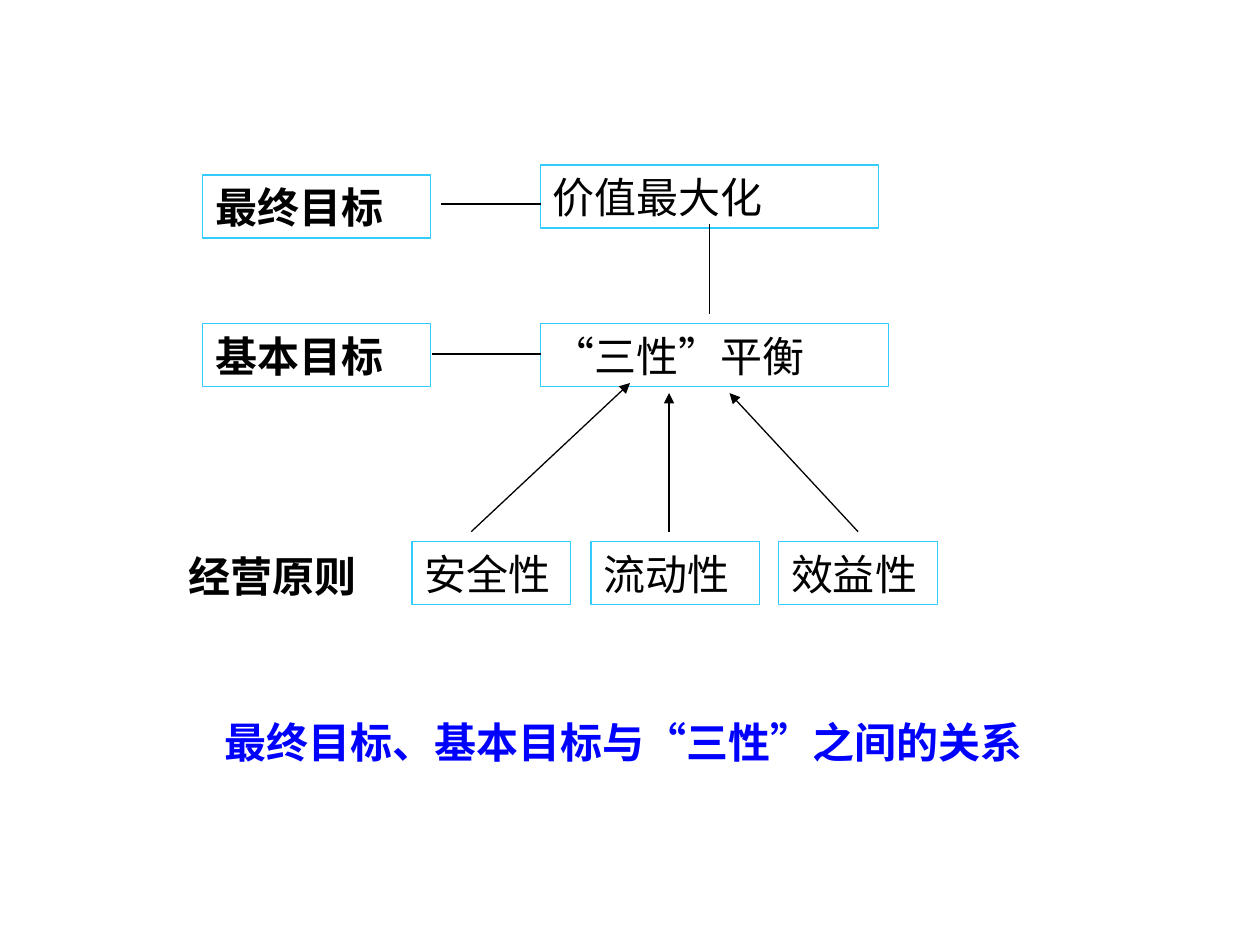
from typing import NamedTuple

from lxml import etree
from pptx import Presentation
from pptx.dml.color import RGBColor
from pptx.enum.lang import MSO_LANGUAGE_ID
from pptx.enum.shapes import MSO_CONNECTOR, MSO_SHAPE
from pptx.enum.text import MSO_ANCHOR, PP_ALIGN
from pptx.oxml.ns import qn
from pptx.util import Inches, Pt

RECTANGLE = MSO_SHAPE.RECTANGLE
STRAIGHT = MSO_CONNECTOR.STRAIGHT
MIDDLE = MSO_ANCHOR.MIDDLE
LEFT, CENTER = PP_ALIGN.LEFT, PP_ALIGN.CENTER
CHINESE = MSO_LANGUAGE_ID.SIMPLIFIED_CHINESE

BLACK = RGBColor(0x00, 0x00, 0x00)
BLUE = RGBColor(0x00, 0x00, 0xFF)
CYAN = RGBColor(0x33, 0xCC, 0xFF)

CJK_FONT = "Noto Sans CJK SC"
LINE_WIDTH = Pt(0.75)
BOX_HEIGHT = 0.5
PRINCIPLE_TOP = 4.3


class Box(NamedTuple):
    text: str
    left: float
    top: float
    width: float
    bold: bool = False


class Link(NamedTuple):
    x1: float
    y1: float
    x2: float
    y2: float
    arrow: bool = False


BOXES = [
    Box("最终目标", 1.61, 1.39, 1.81, bold=True),
    Box("价值最大化", 4.29, 1.31, 2.68),
    Box("基本目标", 1.61, 2.57, 1.81, bold=True),
    Box("“三性”平衡", 4.29, 2.57, 2.76),
    Box("安全性", 3.27, PRINCIPLE_TOP, 1.26),
    Box("流动性", 4.69, PRINCIPLE_TOP, 1.34),
    Box("效益性", 6.18, PRINCIPLE_TOP, 1.26),
]

LINKS = [
    Link(3.5, 1.62, 4.29, 1.62),
    Link(3.43, 2.81, 4.29, 2.81),
    Link(5.63, 2.49, 5.63, 1.78),
    Link(3.74, 4.22, 5, 3.04, arrow=True),
    Link(5.31, 4.22, 5.31, 3.12, arrow=True),
    Link(6.81, 4.22, 5.79, 3.12, arrow=True),
]


def write_text(frame, text: str, font_name: str = "Arial", bold: bool = False,
               color: RGBColor = BLACK, align: PP_ALIGN = LEFT,
               margin_left: float = 0.1) -> None:
    frame.word_wrap = True
    frame.vertical_anchor = MIDDLE
    frame.margin_left = Inches(margin_left)
    frame.margin_right = Inches(0.1)
    frame.margin_top = frame.margin_bottom = 0
    paragraph = frame.paragraphs[0]
    paragraph.alignment = align
    run = paragraph.add_run()
    run.text = text
    font = run.font
    font.size = Pt(24)
    font.bold = bold
    font.color.rgb = color
    font.language_id = CHINESE
    font.name = font_name
    # East Asian typeface
    etree.SubElement(run._r.rPr, qn("a:ea")).set("typeface", CJK_FONT)


def draw_box(slide, box: Box) -> None:
    shape = slide.shapes.add_shape(
        RECTANGLE, Inches(box.left), Inches(box.top),
        Inches(box.width), Inches(BOX_HEIGHT))
    shape.shadow.inherit = False
    shape.fill.background()
    shape.line.color.rgb = CYAN
    shape.line.width = LINE_WIDTH
    write_text(shape.text_frame, box.text, bold=box.bold)


def draw_link(slide, link: Link) -> None:
    connector = slide.shapes.add_connector(
        STRAIGHT, Inches(link.x1), Inches(link.y1),
        Inches(link.x2), Inches(link.y2))
    connector.line.color.rgb = BLACK
    connector.line.width = LINE_WIDTH
    if link.arrow:
        line = connector.line._get_or_add_ln()
        etree.SubElement(line, qn("a:tailEnd")).set("type", "triangle")
    etree.SubElement(connector._element.spPr, qn("a:effectLst"))


def main() -> None:
    prs = Presentation()
    prs.slide_width, prs.slide_height = Inches(10), Inches(7.5)
    slide = prs.slides.add_slide(prs.slide_layouts[6])

    # Goals, principles and the links between them
    for box in BOXES:
        draw_box(slide, box)
    for link in LINKS:
        draw_link(slide, link)

    # Label of the principles row
    principles = slide.shapes.add_textbox(
        Inches(1.3), Inches(4.22), Inches(1.73), Inches(0.7))
    write_text(principles.text_frame, "经营原则", font_name="Calibri",
               bold=True, align=CENTER)

    # Caption
    caption = slide.shapes.add_textbox(
        Inches(1.38), Inches(5.64), Inches(7.09), Inches(BOX_HEIGHT))
    write_text(caption.text_frame, "最终目标、基本目标与“三性”之间的关系",
               font_name=CJK_FONT, bold=True, color=BLUE, margin_left=0.4)

    prs.save("out.pptx")


if __name__ == "__main__":
    main()
